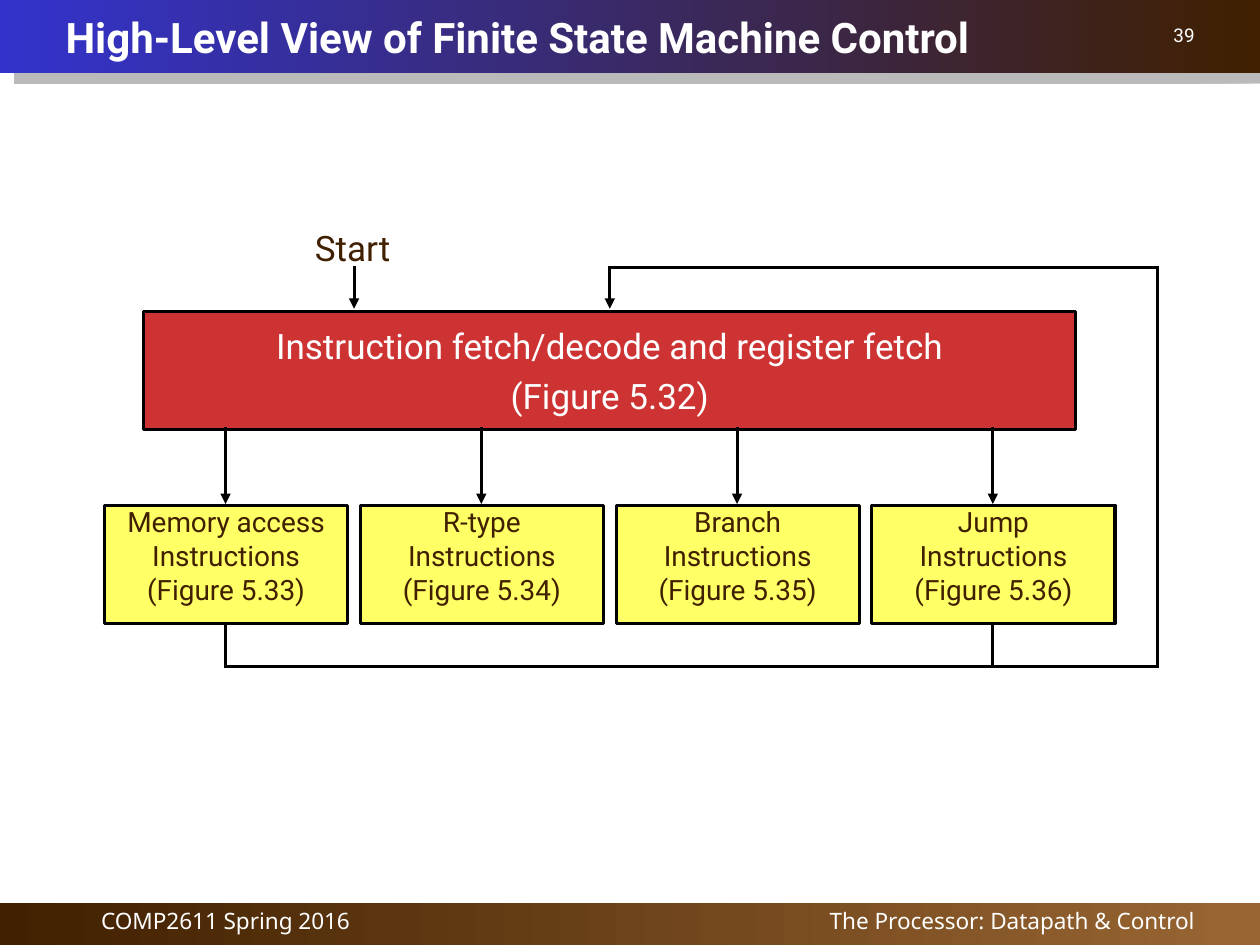
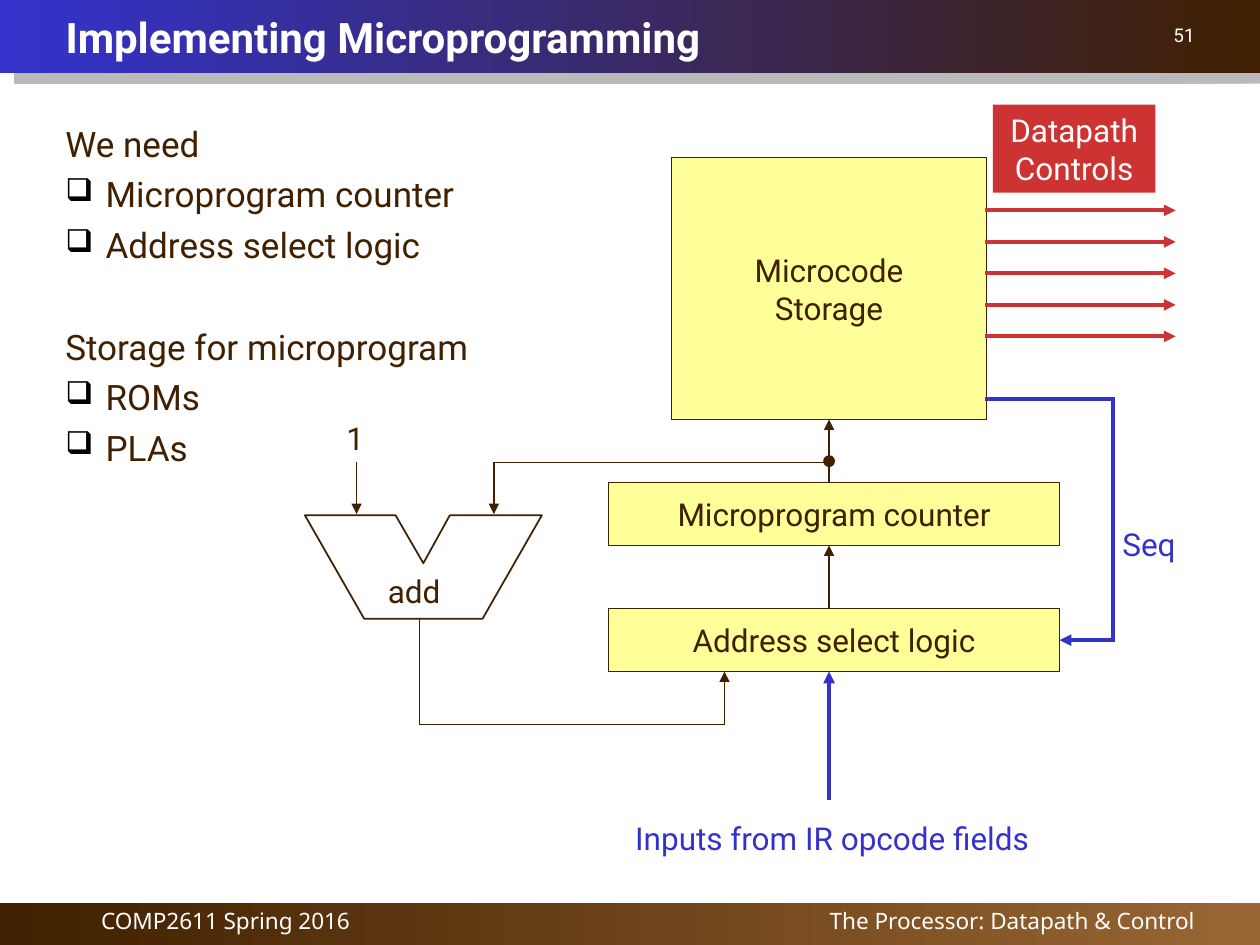
"""Build two slides on finite state machine control and microprogramming."""
from lxml import etree
from pptx import Presentation
from pptx.dml.color import RGBColor
from pptx.enum.shapes import MSO_CONNECTOR, MSO_SHAPE
from pptx.enum.text import MSO_ANCHOR, PP_ALIGN
from pptx.oxml import parse_xml
from pptx.oxml.ns import qn
from pptx.util import Inches, Pt

RECT, OVAL, STRAIGHT = MSO_SHAPE.RECTANGLE, MSO_SHAPE.OVAL, MSO_CONNECTOR.STRAIGHT
LEFT, CENTER, RIGHT = PP_ALIGN.LEFT, PP_ALIGN.CENTER, PP_ALIGN.RIGHT
TOP, MIDDLE = MSO_ANCHOR.TOP, MSO_ANCHOR.MIDDLE
BROWN, TAN, BLUE, RED = "402000", "996633", "3333CC", "CD3333"
YELLOW, PALE, WHITE, BLACK = "FFFF66", "FFFF99", "FFFFFF", "000000"
NS = 'xmlns:a="http://schemas.openxmlformats.org/drawingml/2006/main"'
rgb = RGBColor.from_string


def write(shape, lines, color, size, font="Roboto", bold=False, anchor=TOP, wrap=False, **para):
    """Fill a shape's text frame with equally formatted paragraphs."""
    tf = shape.text_frame
    tf.text = "\n".join(lines)
    tf.word_wrap, tf.vertical_anchor = wrap, anchor
    for p in tf.paragraphs:
        for name, value in para.items():
            setattr(p, name, value)
        f = p.runs[0].font
        for name, value in {"name": font, "size": Pt(size), "bold": bold}.items():
            setattr(f, name, value)
        f.color.rgb = rgb(color)


def line(s, points, color, width, arrow=True):
    """Join points with straight connectors, with an arrowhead on the last one."""
    for (x1, y1), (x2, y2) in zip(points, points[1:]):
        c = s.shapes.add_connector(STRAIGHT, Inches(x1), Inches(y1), Inches(x2), Inches(y2))
        c.line.color.rgb, c.line.width = rgb(color), Pt(width)
        ln = c.line._get_or_add_ln()
        ln.set("cap", "sq")
        etree.SubElement(c._element.spPr, qn("a:effectLst"))
    if arrow:
        etree.SubElement(ln, qn("a:tailEnd"), type="triangle")


prs = Presentation()
prs.slide_width, prs.slide_height = Inches(10), Inches(7.5)
layout = prs.slide_layouts[5]
fsm, micro = prs.slides.add_slide(layout), prs.slides.add_slide(layout)

for y, h, end, angle in [(7.17, 0.33, TAN, 0), (0, 0.58, BLUE, 180)]:
    band = fsm.shapes.add_shape(RECT, 0, Inches(y), prs.slide_width, Inches(h))
    band.fill.gradient()
    band.fill.gradient_angle = angle
    for stop, color in zip(band.fill.gradient_stops, (BROWN, end)):
        stop.color.rgb = rgb(color)
    band.line.fill.background()
    band.shadow.inherit = False
    layout.shapes._spTree.insert(2, band._element)
band._element.spPr.find(qn("a:effectLst")).append(parse_xml(
    f'<a:outerShdw {NS} dist="{Pt(10.4)}" dir="{35 * 60000}" algn="ctr" rotWithShape="0">'
    '<a:srgbClr val="777777"><a:alpha val="50000"/></a:srgbClr></a:outerShdw>'))

for s, heading, number in [(fsm, "High-Level View of Finite State Machine Control", "39"),
                           (micro, "Implementing Microprogramming", "51")]:
    title = s.shapes.title
    title.left, title.top, title.width, title.height = map(Inches, (0.42, 0, 9.17, 0.59))
    write(title, [heading], WHITE, 24, bold=True, anchor=MIDDLE, wrap=True, alignment=LEFT)
    for x, y, w, text, size, font, align, spacing in [
            (0.25, 7.17, 3.08, "COMP2611 Spring 2016", 12.9, "Noto Sans", CENTER, 0.9),
            (4.58, 7.17, 5, "The Processor: Datapath & Control", 12.9, "Noto Sans", RIGHT, 0.9),
            (7.5, 0.17, 2.08, number, 10.8, "Roboto", RIGHT, 0.8)]:
        tb = s.shapes.add_textbox(Inches(x), Inches(y), Inches(w), Inches(0.34))
        write(tb, [text], WHITE, size, font, wrap=True, alignment=align,
              line_spacing=spacing, space_before=Pt(8.8))

body = micro.shapes.add_textbox(Inches(0.42), Inches(0.92), Inches(9.17), Inches(6))
write(body, ["We need", "Microprogram counter", "Address select logic",
             "Storage for microprogram", "ROMs", "PLAs"], BROWN, 20, wrap=True, space_before=Pt(5))
for i, p in enumerate(body.text_frame.paragraphs):
    if i % 3:
        pPr = p._p.get_or_add_pPr()
        pPr.set("marL", str(Inches(0.32)))
        pPr.set("indent", str(-Inches(0.32)))
        for xml in (f'<a:buClr {NS}><a:srgbClr val="{BLACK}"/></a:buClr>',
                    f'<a:buSzPct {NS} val="90000"/>', f'<a:buChar {NS} char="❑"/>'):
            pPr.append(parse_xml(xml))
    elif i:
        p.space_before = Pt(34)

instructions = ["Memory access", "R-type", "Branch", "Jump"]
small = {"line_spacing": 0.8, "space_before": Pt(4)}
boxes = [(fsm, 0.83 + 2.03 * i, 4.01, 1.93, 0.94,
          [kind, "Instructions", f"(Figure 5.{33 + i})"], YELLOW, BLACK, 1.75, BROWN, 16, TOP, small)
         for i, kind in enumerate(instructions)]
boxes += [
    (fsm, 1.14, 2.47, 7.4, 0.94, ["Instruction fetch/decode and register fetch", "(Figure 5.32)"],
     RED, BLACK, 1.75, WHITE, 20, MIDDLE, {"space_before": Pt(5)}),
    (micro, 5.33, 1.25, 2.5, 2.08, ["Microcode", "Storage"], PALE, BROWN, 1, BROWN, 18, MIDDLE, {}),
    (micro, 4.83, 3.83, 3.58, 0.5, ["Microprogram counter"], PALE, BROWN, 1, BROWN, 18, MIDDLE, {}),
    (micro, 4.83, 4.83, 3.58, 0.5, ["Address select logic"], PALE, BROWN, 1, BROWN, 18, MIDDLE, {}),
    (micro, 7.88, 0.83, 1.29, 0.7, ["Datapath", "Controls"], RED, None, 0, WHITE, 18, TOP, {}),
]
for s, x, y, w, h, lines, fill, edge, width, color, size, anchor, para in boxes:
    sp = s.shapes.add_shape(RECT, Inches(x), Inches(y), Inches(w), Inches(h))
    sp.shadow.inherit = False
    sp.fill.solid()
    sp.fill.fore_color.rgb = rgb(fill)
    if edge:
        sp.line.color.rgb, sp.line.width = rgb(edge), Pt(width)
    else:
        sp.line.fill.background()
    write(sp, lines, color, size, anchor=anchor, alignment=CENTER, **para)

for i in range(len(instructions)):
    x = 1.79 + 2.03 * i
    line(fsm, [(x, 3.4), (x, 4)], BLACK, 1.75)
line(fsm, [(2.81, 2.12), (2.81, 2.45)], BLACK, 1.75)
line(fsm, [(7.88, 4.95), (7.88, 5.29)], BLACK, 1.75, arrow=False)
line(fsm, [(1.79, 4.95), (1.79, 5.29), (9.19, 5.29), (9.19, 2.12), (4.84, 2.12), (4.84, 2.45)],
     BLACK, 1.75)

outline = [(Inches(x), Inches(y)) for x, y in [
    (2.42, 4.09), (3.14, 4.09), (3.36, 4.47), (3.57, 4.09), (4.3, 4.09), (3.83, 4.91), (2.89, 4.91)]]
builder = micro.shapes.build_freeform(*outline[0])
builder.add_line_segments(outline[1:], close=True)
adder = builder.convert_to_shape()
dot = micro.shapes.add_shape(OVAL, Inches(6.54), Inches(3.62), Inches(0.08), Inches(0.08))
for sp, fill in [(adder, WHITE), (dot, BROWN)]:
    sp.shadow.inherit = False
    sp.fill.solid()
    sp.fill.fore_color.rgb = rgb(fill)
    sp.line.color.rgb, sp.line.width = rgb(BROWN), Pt(1)

for i in range(5):
    y = 1.67 + 0.25 * i
    line(micro, [(7.83, y), (9.33, y)], RED, 2.25)
for points in [[(6.58, 3.83), (6.58, 3.33)],
               [(6.58, 4.83), (6.58, 4.33)],
               [(6.58, 3.67), (3.92, 3.67), (3.92, 4.08)],
               [(2.83, 3.67), (2.83, 4.08)],
               [(3.33, 4.92), (3.33, 5.75), (5.75, 5.75), (5.75, 5.33)]]:
    line(micro, points, BROWN, 1)
line(micro, [(7.83, 3.17), (8.83, 3.17), (8.83, 5.08), (8.41, 5.08)], BLUE, 2.25)
line(micro, [(6.58, 6.33), (6.58, 5.33)], BLUE, 2.25)

for s, x, y, w, text, color, size, para in [
        (fsm, 2.4, 1.75, 0.82, "Start", BROWN, 20, {"space_before": Pt(5)}),
        (micro, 2.65, 3.28, 0.34, "1", BROWN, 18, {}),
        (micro, 2.98, 4.49, 0.65, "add", BROWN, 18, {}),
        (micro, 4.84, 6.45, 3.53, "Inputs from IR opcode fields", BLUE, 18, {"alignment": CENTER}),
        (micro, 8.81, 4.12, 0.63, "Seq", BLUE, 18, {})]:
    tb = s.shapes.add_textbox(Inches(x), Inches(y), Inches(w), Inches(0.4))
    write(tb, [text], color, size, **para)

prs.save("out.pptx")
